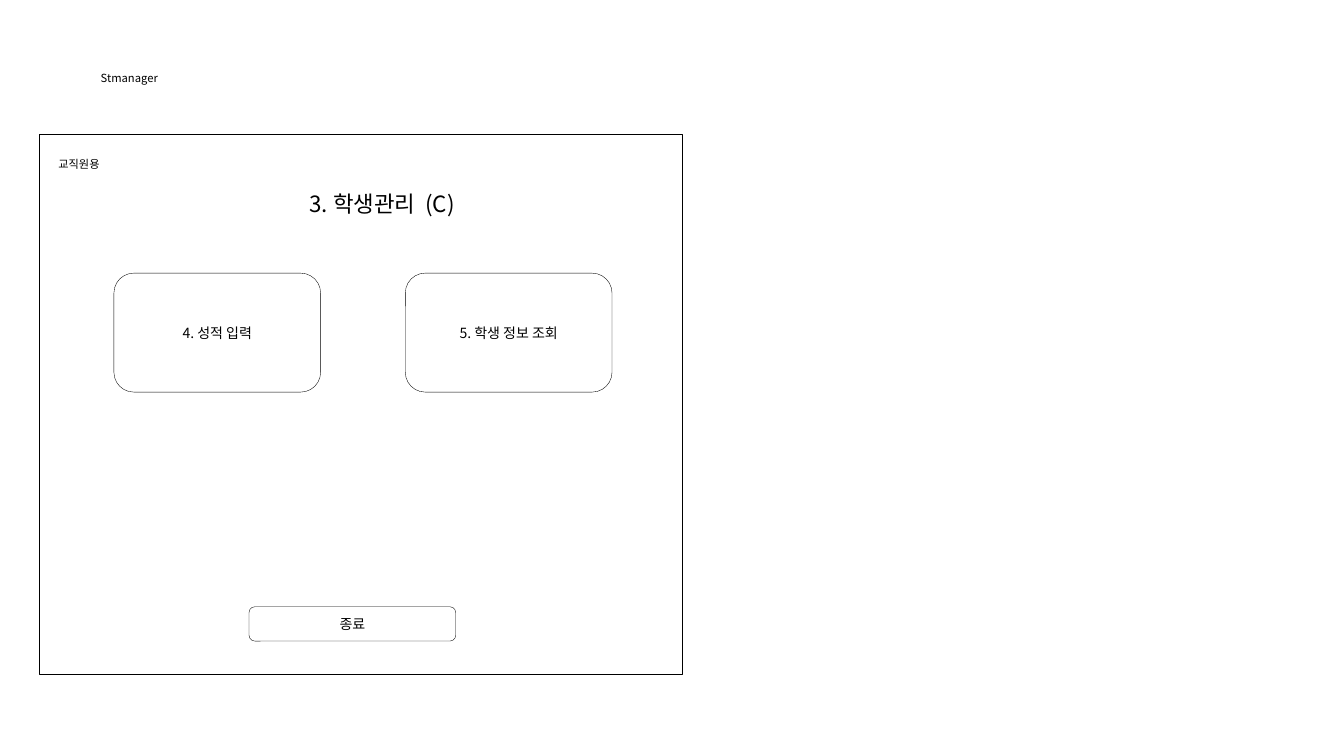
from dataclasses import dataclass

from lxml import etree
from pptx import Presentation
from pptx.dml.color import RGBColor
from pptx.enum.shapes import MSO_SHAPE
from pptx.enum.text import MSO_ANCHOR, MSO_AUTO_SIZE, PP_ALIGN
from pptx.oxml.ns import qn
from pptx.shapes.autoshape import Shape
from pptx.slide import Slide
from pptx.util import Inches, Pt

RECTANGLE = MSO_SHAPE.RECTANGLE
ROUNDED = MSO_SHAPE.ROUNDED_RECTANGLE
MIDDLE = MSO_ANCHOR.MIDDLE
CENTER = PP_ALIGN.CENTER
FIT_SHAPE = MSO_AUTO_SIZE.SHAPE_TO_FIT_TEXT


@dataclass(frozen=True)
class Theme:
    ink: RGBColor = RGBColor(0, 0, 0)
    font: str = "Noto Sans CJK KR"
    title_size: float = 16
    button_size: float = 10
    label_size: float = 8
    line_width: float = 0.25


@dataclass(frozen=True)
class Box:
    left: float
    top: float
    width: float
    height: float


@dataclass(frozen=True)
class Label:
    text: str
    box: Box
    size: float


@dataclass(frozen=True)
class Button:
    text: str
    box: Box


THEME = Theme()
WINDOW = Box(0.39, 1.33, 6.38, 5.36)
BUTTON_WIDTH = 2.05
MENU_LEFT, MENU_TOP, MENU_HEIGHT, MENU_PITCH = 1.13, 2.71, 1.18, 2.89
MENU_ITEMS = ("4. 성적 입력", "5. 학생 정보 조회")
BUTTONS = [
    Button(item, Box(MENU_LEFT + MENU_PITCH * column, MENU_TOP, BUTTON_WIDTH, MENU_HEIGHT))
    for column, item in enumerate(MENU_ITEMS)
] + [Button("종료", Box(2.47, 6.02, BUTTON_WIDTH, 0.34))]
LABELS = (
    Label("3. 학생관리  (C)", Box(2.97, 1.84, 1.79, 0.37), THEME.title_size),
    Label("Stmanager", Box(0.9, 0.66, 0.79, 0.24), THEME.label_size),
    Label("교직원용", Box(0.48, 1.51, 0.65, 0.24), THEME.label_size),
)


def write_text(holder: Shape, text: str, size: float) -> None:
    """Fill a shape with one styled paragraph."""
    holder.text_frame.text = text
    for run in holder.text_frame.paragraphs[0].runs:
        run.font.size = Pt(size)
        run.font.name = THEME.font
        run.font.color.rgb = THEME.ink
        east_asian = etree.SubElement(run.font._element, qn("a:ea"))
        east_asian.set("typeface", THEME.font)


def draw_outline(slide: Slide, kind: MSO_SHAPE, box: Box) -> Shape:
    """Draw an unfilled shape with a thin border."""
    outline = slide.shapes.add_shape(
        kind, Inches(box.left), Inches(box.top), Inches(box.width), Inches(box.height)
    )
    outline.shadow.inherit = False
    outline.fill.background()
    outline.line.color.rgb = THEME.ink
    outline.line.width = Pt(THEME.line_width)
    return outline


def draw_button(slide: Slide, button: Button) -> None:
    """Draw a rounded button with centred text."""
    face = draw_outline(slide, ROUNDED, button.box)
    write_text(face, button.text, THEME.button_size)
    face.text_frame.vertical_anchor = MIDDLE
    face.text_frame.paragraphs[0].alignment = CENTER


def draw_label(slide: Slide, label: Label) -> None:
    """Draw an unwrapped line of text."""
    box = label.box
    caption = slide.shapes.add_textbox(
        Inches(box.left), Inches(box.top), Inches(box.width), Inches(box.height)
    )
    write_text(caption, label.text, label.size)
    caption.text_frame.word_wrap = False
    caption.text_frame.auto_size = FIT_SHAPE


def main() -> None:
    """Build and save the student management screen."""
    deck = Presentation()
    deck.slide_width = Inches(13.33)
    deck.slide_height = Inches(7.5)
    slide = deck.slides.add_slide(deck.slide_layouts[6])
    draw_outline(slide, RECTANGLE, WINDOW)
    for button in BUTTONS:
        draw_button(slide, button)
    for label in LABELS:
        draw_label(slide, label)
    deck.save("out.pptx")


if __name__ == "__main__":
    main()
